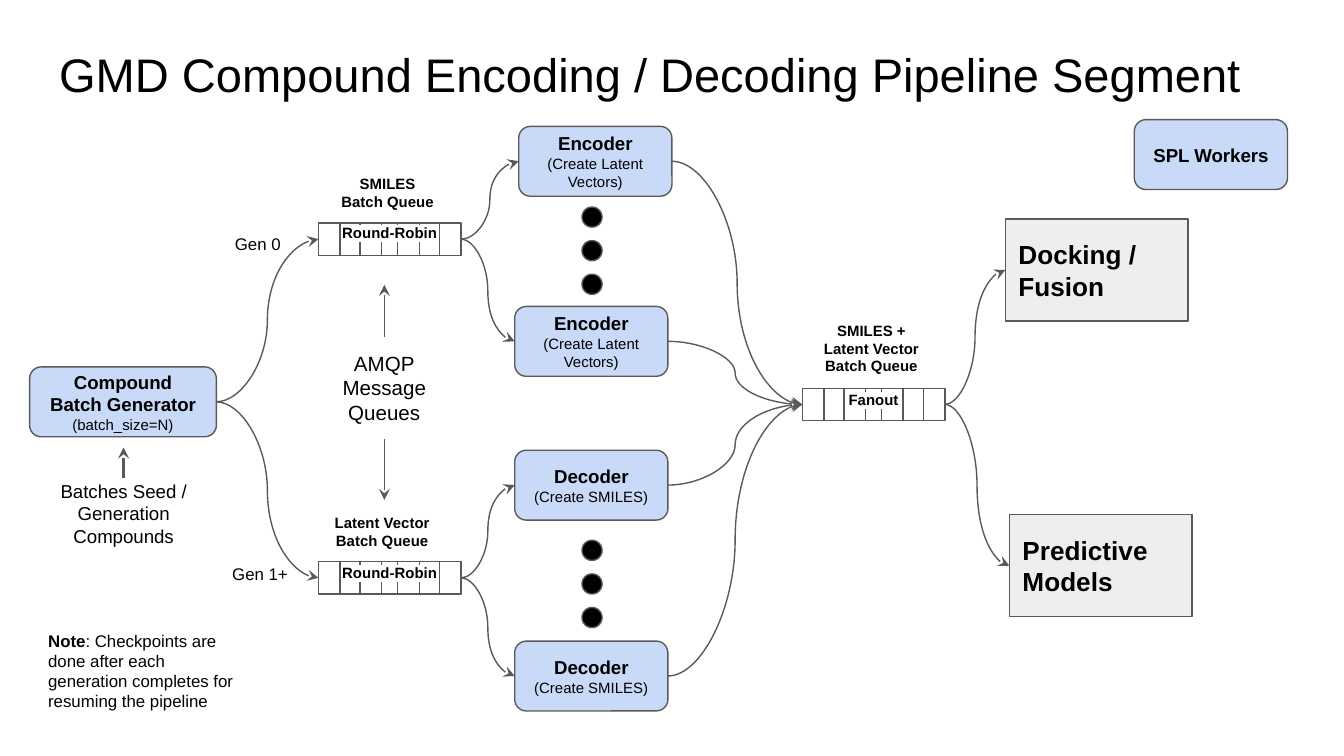
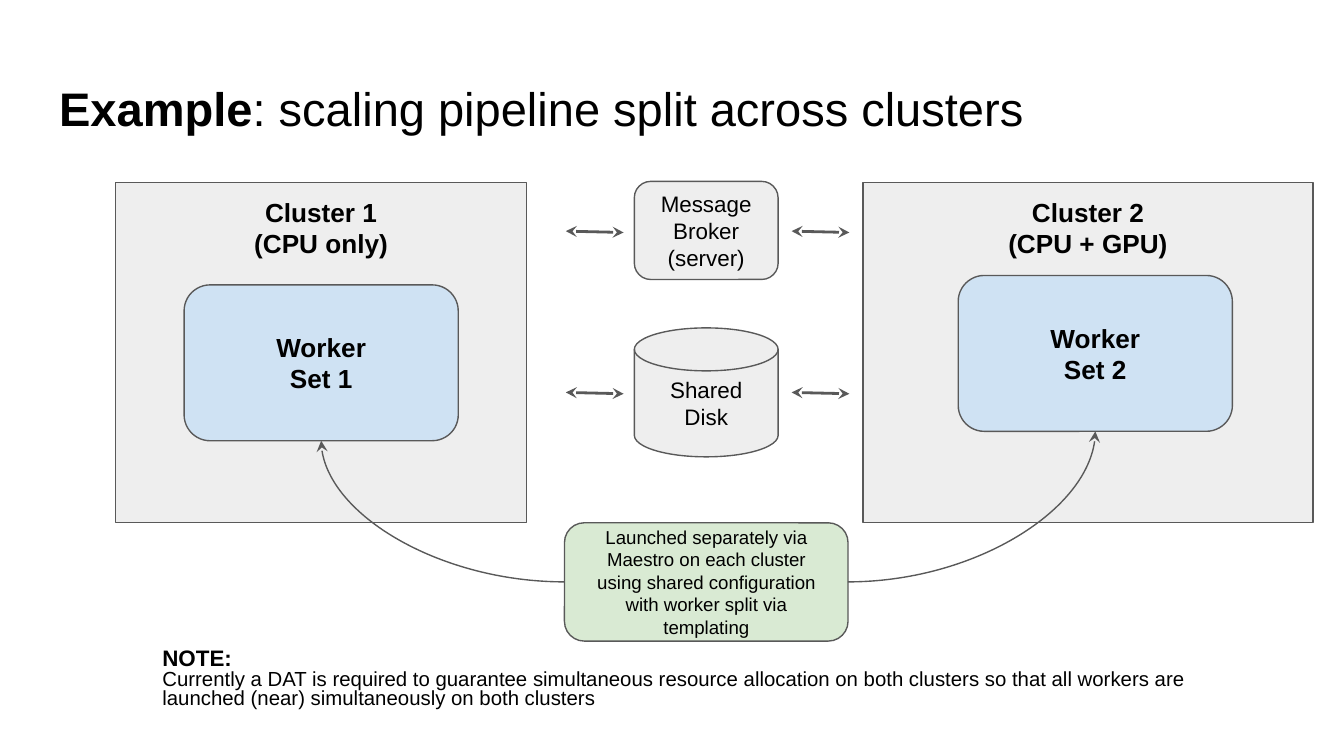
import pptx
import pptx.util
from lxml import etree
from pptx.dml.color import RGBColor
from pptx.enum.shapes import MSO_CONNECTOR, MSO_SHAPE
from pptx.enum.text import MSO_ANCHOR, MSO_AUTO_SIZE, PP_ALIGN
from pptx.oxml.ns import qn

PX = 9144  # 100 px to the inch
FONT = "Arial"
C = {"text": "000000", "line": "595959", "worker": "C9DAF8", "set": "CFE2F3",
     "grey": "EEEEEE", "launch": "D9EAD3", "highlight": "FFFFFF"}
TOP, LEFT, BOTTOM, RIGHT = range(4)  # connection sites
ROUND, RECT = MSO_SHAPE.ROUNDED_RECTANGLE, MSO_SHAPE.RECTANGLE
CURVE, STRAIGHT = MSO_CONNECTOR.CURVE, MSO_CONNECTOR.STRAIGHT


def box(shapes, kind, rect, paras=(), fill=None, align=PP_ALIGN.CENTER,
        anchor=MSO_ANCHOR.MIDDLE, spacing=None, highlight=False):
    """Add a shape, a text box or the title; paras hold (text, size, bold) runs."""
    rect = [v * PX for v in rect]
    if kind == "title":
        sp = shapes.title
        sp.left, sp.top, sp.width, sp.height = rect
    elif kind == "text":
        sp = shapes.add_textbox(*rect)
    else:
        sp = shapes.add_shape(kind, *rect)
        sp.shadow.inherit = False
        sp.line.color.rgb = RGBColor.from_string(C["line"])
        sp.line.width = pptx.util.Pt(0.75)
        if fill:
            sp.fill.solid()
            sp.fill.fore_color.rgb = RGBColor.from_string(C[fill])
        else:
            sp.fill.background()
    tf = sp.text_frame
    tf.word_wrap = True
    tf.auto_size = (MSO_AUTO_SIZE.SHAPE_TO_FIT_TEXT if kind == "text"
                    else MSO_AUTO_SIZE.NONE)
    tf.vertical_anchor = MSO_ANCHOR.TOP if kind in ("title", "text") else anchor
    tf.margin_left = tf.margin_right = tf.margin_top = tf.margin_bottom = 10 * PX
    for i, runs in enumerate(paras):
        p = tf.add_paragraph() if i else tf.paragraphs[0]
        p.alignment = align
        if spacing:
            p.line_spacing = spacing
        for text, size, bold in runs:
            r = p.add_run()
            r.text = text
            r.font.size = pptx.util.Pt(size)
            r.font.bold = bold
            r.font.color.rgb = RGBColor.from_string(C["text"])
            if highlight:
                mark = etree.SubElement(r.font._element, qn("a:highlight"))
                etree.SubElement(mark, qn("a:srgbClr"), val=C["highlight"])
            r.font.name = FONT
    return sp


def arrow(shapes, kind, points=(0, 0, 0, 0), width=0.75, ends=("tailEnd",), glue=None):
    """Add an arrow between points, or glued as (shape, site, shape, site)."""
    cx = shapes.add_connector(kind, *[v * PX for v in points])
    cx.line.color.rgb = RGBColor.from_string(C["line"])
    cx.line.width = pptx.util.Pt(width)
    for end in ends:
        etree.SubElement(cx.line._get_or_add_ln(), qn("a:" + end), type="stealth")
    etree.SubElement(cx._element.spPr, qn("a:effectLst"))
    if glue:
        cx.begin_connect(*glue[:2])
        cx.end_connect(*glue[2:])
    return cx


prs = pptx.Presentation()
prs.slide_width = 1000 * PX
prs.slide_height = prs.slide_width * 9 // 16
title_only = prs.slide_layouts[5]

# Slide 1: pipeline segment
s = prs.slides.add_slide(title_only)
box(s.shapes, "title", (34, 24, 932, 63),
    [[("GMD Compound Encoding / Decoding Pipeline Segment", 25.2, False)]],
    align=PP_ALIGN.LEFT)

workers = {}
for name, rect, head, detail in [
    ("generator", (22, 273, 139, 52), "Compound Batch Generator", "(batch_size=N)"),
    ("encoder 1", (386, 94, 114, 52), "Encoder", "(Create Latent Vectors)"),
    ("encoder n", (383, 228, 114, 52), "Encoder", "(Create Latent Vectors)"),
    ("decoder 1", (383, 335, 114, 52), "Decoder", "(Create SMILES)"),
    ("decoder n", (383, 477, 114, 52), "Decoder", "(Create SMILES)"),
    ("legend", (844, 89, 114, 52), "SPL Workers", None),
]:
    paras = [[(head, 10, True)]] + ([[(detail, 8, False)]] if detail else [])
    workers[name] = box(s.shapes, ROUND, rect, paras, "worker")

queues = {}
for name, x, y, mode, mode_rect in [
    ("smiles", 237, 166, "Round-Robin", (240, 160, 100, 34)),
    ("latent", 237, 418, "Round-Robin", (240, 413, 100, 34)),
    ("merged", 597, 289, "Fanout", (605, 284, 90, 34)),
]:
    group = s.shapes.add_group_shape()
    queues[name] = [box(group.shapes, RECT, (x + round(i * 47 / 3), y, 59, 24))
                    for i in range(4)]
    box(s.shapes, "text", mode_rect, [[(mode, 8, True)]], highlight=True)

for first_y in (154, 402):
    group = s.shapes.add_group_shape()
    for i in range(3):
        box(group.shapes, MSO_SHAPE.OVAL, (433, first_y + 25 * i, 15, 15), fill="text")

docking, models = [
    box(s.shapes, MSO_SHAPE.FLOWCHART_PROCESS, rect, [[(text, 14, True)]], "grey",
        PP_ALIGN.LEFT)
    for rect, text in [((748, 163, 136, 76), "Docking / Fusion"),
                       ((751, 383, 136, 76), "Predictive Models")]]

smiles, latent, merged = queues["smiles"], queues["latent"], queues["merged"]
for start, end in [
    (workers["generator"], smiles[0]), (workers["generator"], latent[0]),
    (smiles[-1], workers["encoder 1"]), (smiles[-1], workers["encoder n"]),
    (latent[-1], workers["decoder 1"]), (latent[-1], workers["decoder n"]),
    (workers["encoder 1"], merged[0]), (workers["encoder n"], merged[0]),
    (workers["decoder 1"], merged[0]), (workers["decoder n"], merged[0]),
    (merged[-1], docking), (merged[-1], models),
]:
    arrow(s.shapes, CURVE, glue=(start, RIGHT, end, LEFT))

arrow(s.shapes, STRAIGHT, (92, 356, 92, 333), 1.5)
arrow(s.shapes, STRAIGHT, (286, 251, 286, 212))
arrow(s.shapes, STRAIGHT, (286, 327, 286, 372))

for rect, lines, size, bold, align in [
    ((165, 166, 73, 35), ["Gen 0"], 9, False, PP_ALIGN.LEFT),
    ((163, 412, 73, 35), ["Gen 1+"], 9, False, PP_ALIGN.LEFT),
    ((222, 120, 136, 47), ["SMILES ", "Batch Queue "], 8, True, PP_ALIGN.CENTER),
    ((218, 372, 136, 47), ["Latent Vector ", "Batch Queue "], 8, True, PP_ALIGN.CENTER),
    ((582, 229, 136, 61), ["SMILES + ", "Latent Vector ", "Batch Queue "], 8, True,
     PP_ALIGN.CENTER),
    ((22, 347, 140, 71), ["Batches Seed / Generation Compounds"], 10, False,
     PP_ALIGN.CENTER),
    ((233, 251, 106, 76), ["AMQP", "Message", "Queues"], 11, False, PP_ALIGN.CENTER),
]:
    box(s.shapes, "text", rect, [[(line, size, bold)] for line in lines], align=align)
box(s.shapes, "text", (26, 459, 168, 81),
    [[("Note", 9, True),
      (": Checkpoints are done after each generation completes for resuming the pipeline",
       9, False)]], align=PP_ALIGN.LEFT)

# Slide 2: two clusters
s = prs.slides.add_slide(title_only)
box(s.shapes, "title", (34, 49, 932, 63),
    [[("Example", 25.2, True), (": scaling pipeline split across clusters", 25.2, False)]],
    align=PP_ALIGN.LEFT)

worker_sets = []
for number, hardware, cluster_rect, set_rect in [
    (1, "(CPU only)", (86, 136, 306, 253), (137, 212, 204, 116)),
    (2, "(CPU + GPU)", (642, 136, 335, 253), (713, 205, 204, 116)),
]:
    box(s.shapes, RECT, cluster_rect,
        [[(f"Cluster {number}", 14, True)], [(hardware, 14, True)]], "grey",
        anchor=MSO_ANCHOR.TOP)
    worker_sets.append(box(s.shapes, ROUND, set_rect,
                           [[("Worker", 14, True)], [(f"Set {number}", 14, True)]], "set"))

box(s.shapes, ROUND, (472, 135, 107, 73),
    [[("Message Broker", 12, False)], [("(server)", 12, False)]], "grey")
box(s.shapes, MSO_SHAPE.FLOWCHART_MAGNETIC_DISK, (472, 244, 107, 96),
    [[("Shared Disk", 12, False)]], "grey")
for x in (421, 589):
    for y in (172, 292):
        arrow(s.shapes, STRAIGHT, (x, y, x + 43, y + 1), 1.5, ("headEnd", "tailEnd"))

note = box(s.shapes, "text", (111, 473, 806, 66),
           [[("NOTE:", 12, True)],
            [("Currently a DAT is required to guarantee simultaneous resource allocation "
              "on both clusters so that all workers are launched (near) simultaneously on "
              "both clusters", 10.9, False)]], align=PP_ALIGN.LEFT, spacing=0.8)
note.text_frame.auto_size = MSO_AUTO_SIZE.NONE

launch = box(s.shapes, ROUND, (420, 389, 211, 88),
             [[("Launched separately via Maestro on each cluster using shared configuration "
                "with worker split via templating", 10, False)]], "launch")
for side, worker_set in zip((LEFT, RIGHT), worker_sets):
    cx = arrow(s.shapes, CURVE, glue=(launch, side, worker_set, BOTTOM))
    cx._element.spPr.find(qn("a:prstGeom")).set("prst", "curvedConnector2")

prs.save("out.pptx")
